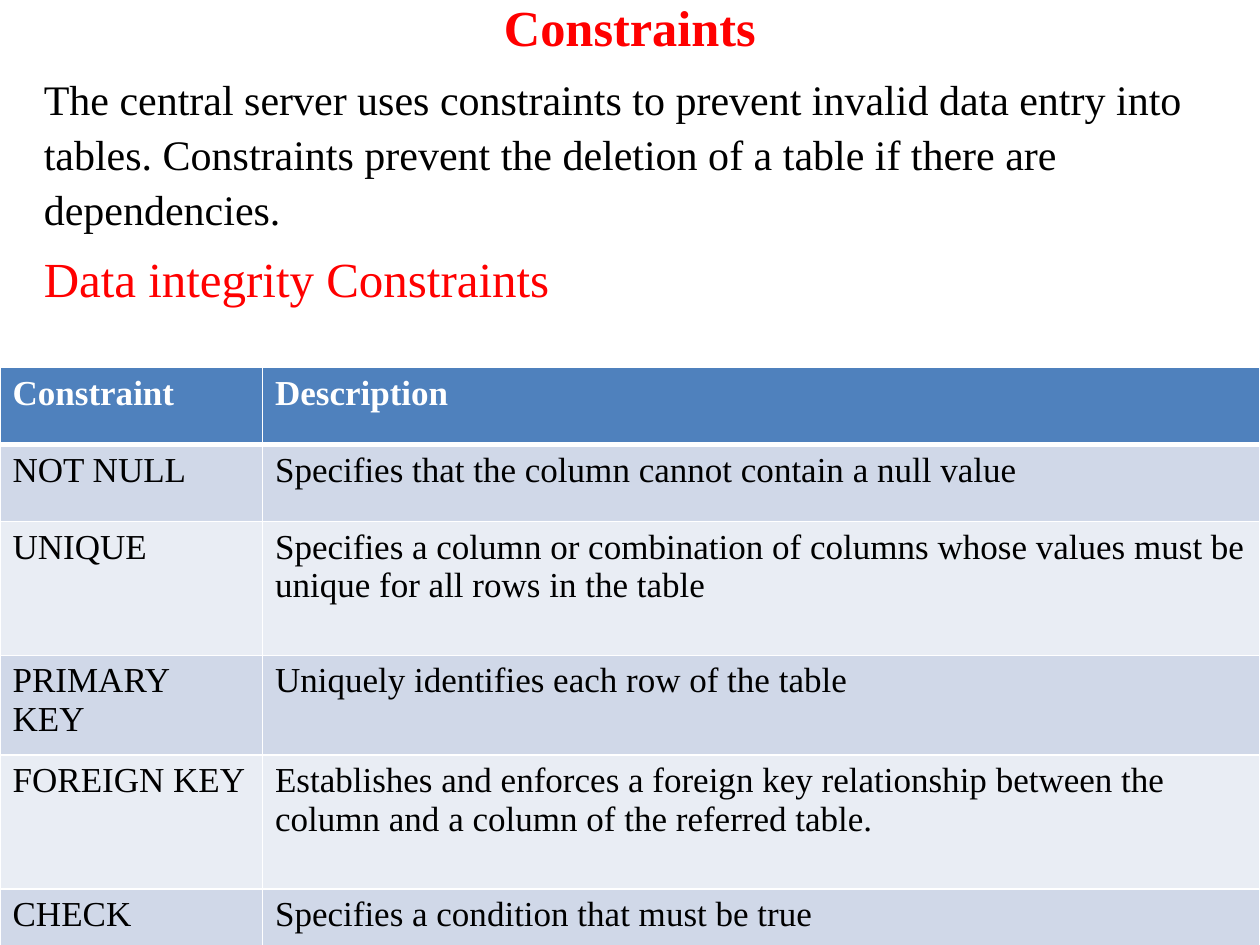
from dataclasses import dataclass

from lxml.etree import SubElement
from pptx import Presentation
from pptx.dml.color import RGBColor as Color
from pptx.enum.text import MSO_ANCHOR as Anchor, PP_ALIGN as Align
from pptx.oxml.ns import qn
from pptx.util import Pt

FONT = "Times New Roman"
COLORS = {
    "accent": "FF0000",
    "text": "000000",
    "white": "FFFFFF",
    "header": "4F81BD",
    "band_dark": "D0D8E8",
    "band_light": "E9EDF4",
}


@dataclass
class Line:
    text: str
    size: float
    color: str
    bold: bool = False
    space_before: float = 0
    spacing: float = 1.0
    align: Align = Align.LEFT


@dataclass
class Row:
    constraint: str
    description: str
    height: float


TITLE = Line("Constraints", 28.8, "accent", bold=True, align=Align.CENTER)
BODY = [
    Line("The central server uses constraints to prevent invalid data entry into "
         "tables. Constraints prevent the deletion of a table if there are "
         "dependencies.", 24, "text", spacing=1.09),
    Line("Data integrity Constraints", 28, "accent", space_before=5.6, spacing=1.09),
]
COLUMN_WIDTHS = [150, 570]
ROWS = [
    Row("Constraint", "Description", 44),
    Row("NOT NULL", "Specifies that the column cannot contain a null value", 44),
    Row("UNIQUE", "Specifies a column or combination of columns whose values must be "
        "unique for all rows in the table", 76.5),
    Row("PRIMARY KEY", "Uniquely identifies each row of the table", 57),
    Row("FOREIGN KEY", "Establishes and enforces a foreign key relationship between the "
        "column and a column of the referred table.", 76.5),
    Row("CHECK", "Specifies a condition that must be true", 44),
]


def write_line(para, line: Line) -> None:
    para.alignment = line.align
    para.line_spacing = line.spacing
    para.space_before = Pt(line.space_before)
    span = para.add_run()
    span.text = line.text
    span.font.name = FONT
    span.font.size = Pt(line.size)
    span.font.bold = line.bold
    span.font.color.rgb = Color.from_string(COLORS[line.color])


def add_text(slide, left: float, top: float, width: float, height: float,
             lines: list[Line], anchor: Anchor) -> None:
    box = slide.shapes.add_textbox(Pt(left), Pt(top), Pt(width), Pt(height))
    frame = box.text_frame
    frame.word_wrap = True
    frame.vertical_anchor = anchor
    for index, line in enumerate(lines):
        write_line(frame.add_paragraph() if index else frame.paragraphs[0], line)


def set_borders(cell, top: float, bottom: float) -> None:
    properties = cell._tc.get_or_add_tcPr()
    for side, width in {"lnL": 1, "lnR": 1, "lnT": top, "lnB": bottom}.items():
        border = SubElement(properties, qn(f"a:{side}"), w=str(Pt(width)))
        fill = SubElement(border, qn("a:solidFill"))
        SubElement(fill, qn("a:srgbClr"), val=COLORS["white"])


def add_constraint_table(slide, top: float) -> None:
    frame = slide.shapes.add_table(
        len(ROWS), len(COLUMN_WIDTHS), Pt(0), Pt(top),
        Pt(sum(COLUMN_WIDTHS)), Pt(sum(row.height for row in ROWS)))
    table = frame.table
    for column, width in zip(table.columns, COLUMN_WIDTHS):
        column.width = Pt(width)
    for index, row in enumerate(ROWS):
        table.rows[index].height = Pt(row.height)
        is_header = index == 0
        band = "header" if is_header else "band_dark" if index % 2 else "band_light"
        for cell, text in zip(table.rows[index].cells, (row.constraint, row.description)):
            # The rule under the header is thicker than the others
            set_borders(cell, 3 if index == 1 else 1, 3 if is_header else 1)
            cell.fill.solid()
            cell.fill.fore_color.rgb = Color.from_string(COLORS[band])
            color = "white" if is_header else "text"
            write_line(cell.text_frame.paragraphs[0], Line(text, 20, color, bold=is_header))


def main() -> None:
    deck = Presentation()
    deck.slide_width, deck.slide_height = Pt(720), Pt(540)
    slide = deck.slides.add_slide(deck.slide_layouts[6])

    # Title and introduction
    add_text(slide, 54, 0, 612, 30, [TITLE], Anchor.MIDDLE)
    add_text(slide, 18, 36, 684, 504, BODY, Anchor.TOP)

    # Constraint overview
    add_constraint_table(slide, 210)

    deck.save("out.pptx")


if __name__ == "__main__":
    main()
